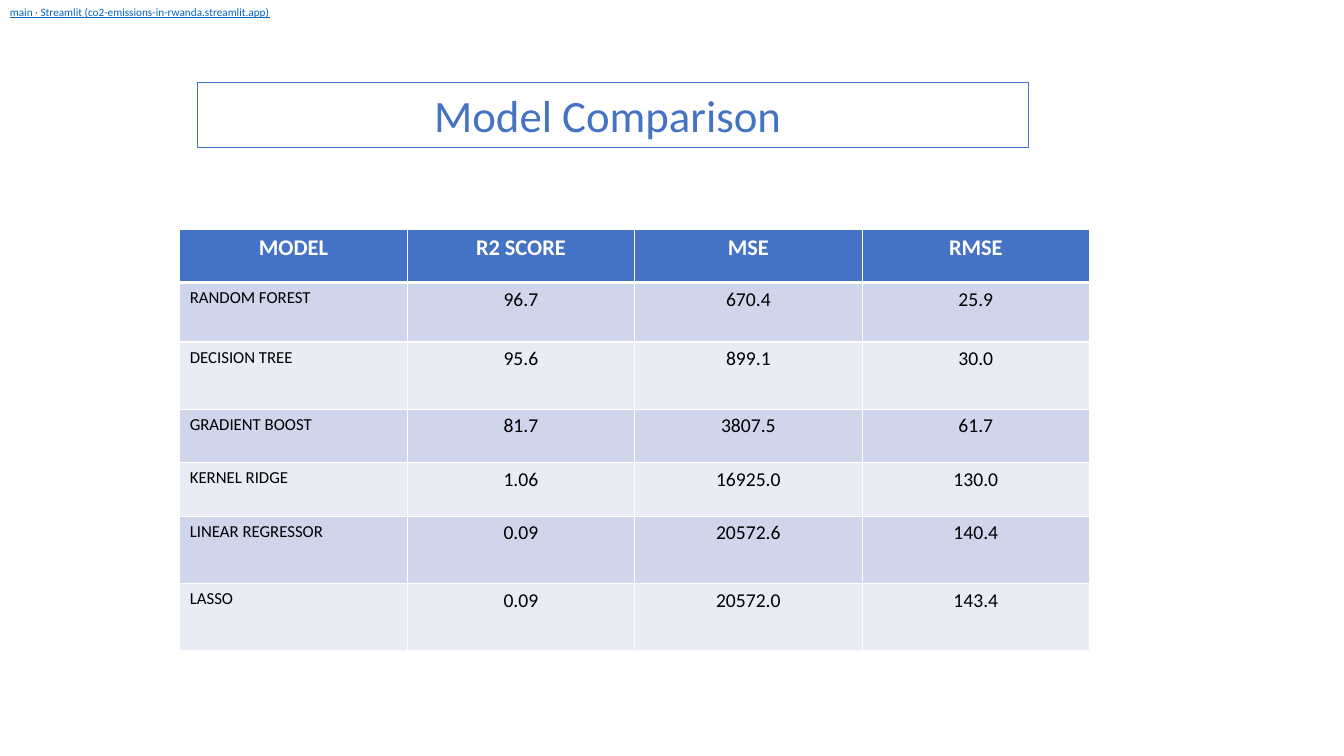
from lxml import etree
from pptx import Presentation
from pptx.dml.color import RGBColor
from pptx.enum import text as t
from pptx.oxml.ns import qn
from pptx.util import Cm, Pt

FONT = "Calibri"
HUES = {
    "blue": "4472C4",
    "link": "0563C1",
    "white": "FFFFFF",
    "black": "000000",
    "odd": "CFD5EA",
    "even": "E9EBF5",
}
HEAD = ("MODEL", "R2 SCORE", "MSE", "RMSE")
# Row height in cm, then the scores of each model
ROWS = [
    (1.5, "RANDOM FOREST", "96.7", "670.4", "25.9"),
    (1.69, "DECISION TREE", "95.6", "899.1", "30.0"),
    (1.35, "GRADIENT BOOST", "81.7", "3807.5", "61.7"),
    (1.35, "KERNEL RIDGE", "1.06", "16925.0", "130.0"),
    (1.69, "LINEAR REGRESSOR", "0.09", "20572.6", "140.4"),
    (1.69, "LASSO", "0.09", "20572.0", "143.4"),
]


def hue(name):
    return RGBColor.from_string(HUES[name])


def write(frame, words, size, color="black", bold=False, line=False, center=False):
    """Put one formatted paragraph in a text frame."""
    para = frame.paragraphs[0]
    para.alignment = t.PP_ALIGN.CENTER if center else t.PP_ALIGN.LEFT
    run = para.add_run()
    run.text = words
    font = run.font
    font.name, font.size = FONT, Pt(size)
    font.bold, font.underline = bold, line
    font.color.rgb = hue(color)


def edge(cell, base):
    """Draw white borders; base is the width of the lower one in points."""
    props = cell._tc.get_or_add_tcPr()
    for i, (side, wide) in enumerate(zip("LRTB", (1, 1, 1, base))):
        line = etree.Element(qn(f"a:ln{side}"), w=str(Pt(wide)))
        fill = etree.SubElement(line, qn("a:solidFill"))
        etree.SubElement(fill, qn("a:srgbClr"), val=HUES["white"])
        props.insert(i, line)


def paint(cell, color, base=1):
    edge(cell, base)
    cell.fill.solid()
    cell.fill.fore_color.rgb = hue(color)


def add_title(slide, words):
    title = slide.shapes.title
    title.left, title.top = Cm(4.98), Cm(2.08)
    title.width, title.height = Cm(20.93), Cm(1.64)
    title.line.color.rgb = hue("blue")
    title.line.width = Pt(0.75)
    frame = title.text_frame
    frame.auto_size = t.MSO_AUTO_SIZE.NONE
    frame.vertical_anchor = t.MSO_ANCHOR.MIDDLE
    write(frame, words, 32, "blue", center=True)


def add_link(slide, words):
    box = slide.shapes.add_textbox(0, 0, Cm(8.18), Cm(0.6))
    box.text_frame.word_wrap = True
    write(box.text_frame, words, 8, "link", line=True)


def add_scores(slide):
    tall = [1.35] + [row[0] for row in ROWS]
    frame = slide.shapes.add_table(
        len(tall), len(HEAD), Cm(4.53), Cm(5.77), Cm(22.93), Cm(sum(tall)))
    table = frame.table
    for row, high in zip(table.rows, tall):
        row.height = Cm(high)

    # Header row
    for c, words in enumerate(HEAD):
        cell = table.cell(0, c)
        paint(cell, "blue", base=3)
        write(cell.text_frame, words, 16, "white", bold=True, center=True)

    # Model rows in alternate shades
    for r, (_, *vals) in enumerate(ROWS, 1):
        for c, words in enumerate(vals):
            cell = table.cell(r, c)
            paint(cell, "odd" if r % 2 else "even")
            write(cell.text_frame, words, 14 if c else 12, center=c > 0)


def main():
    deck = Presentation()
    deck.slide_width, deck.slide_height = Cm(33.87), Cm(19.05)
    slide = deck.slides.add_slide(deck.slide_layouts[5])
    add_scores(slide)
    add_title(slide, "Model Comparison ")
    add_link(slide, "main · Streamlit (co2-emissions-in-rwanda.streamlit.app)")
    deck.save("out.pptx")


if __name__ == "__main__":
    main()
